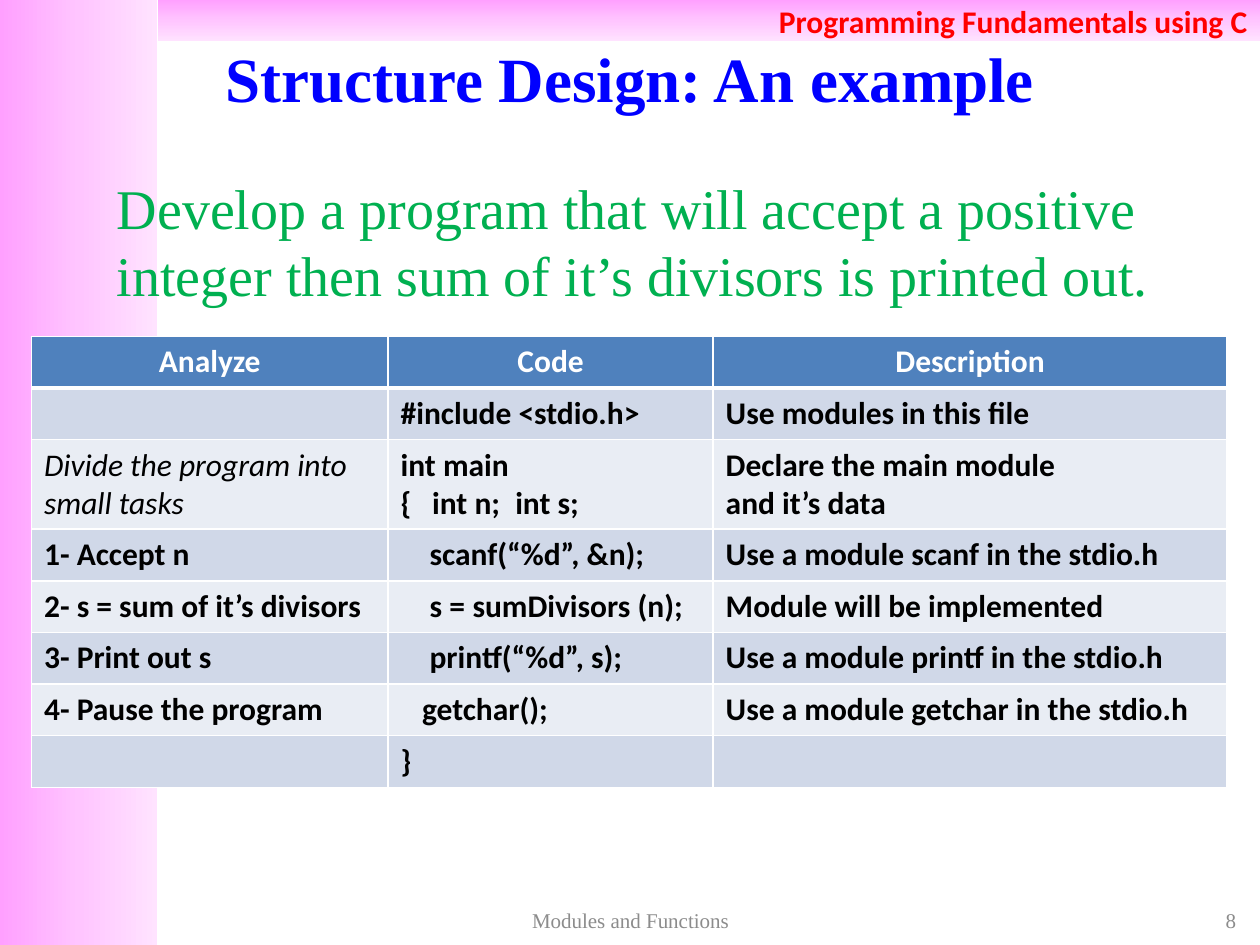
from dataclasses import dataclass

from lxml import etree
from pptx import Presentation
from pptx.dml.color import RGBColor
from pptx.enum import shapes, text
from pptx.oxml import ns
from pptx.util import Inches, Pt

COLORS = {
    "white": "FFFFFF", "black": "000000", "red": "FF0000", "blue": "0000FF",
    "green": "00B050", "gray": "8C8C8C", "header": "4F81BD",
    "odd_row": "D0D8E8", "even_row": "E9EDF4",
}
BAND_STOPS = ((0, "FFA0FF"), (50, "FFC5FF"), (100, "FFE3FF"))
SERIF, SANS = "Times New Roman", "Calibri"
LEFT, CENTER, RIGHT = text.PP_ALIGN.LEFT, text.PP_ALIGN.CENTER, text.PP_ALIGN.RIGHT
TOP, MIDDLE = text.MSO_ANCHOR.TOP, text.MSO_ANCHOR.MIDDLE


@dataclass
class Style:
    size: float
    color: str
    font: str = SERIF
    bold: bool = False
    italic: bool = False
    align: text.PP_ALIGN = LEFT
    anchor: text.MSO_ANCHOR = MIDDLE


@dataclass
class Entry:
    """Table cell content, with its indent and tab stops in inches."""
    words: str
    indent: float = 0
    tabs: tuple = ()
    italic: bool = False


def add_element(parent, tag: str, **attributes):
    element = etree.SubElement(parent, ns.qn(tag))
    for name, value in attributes.items():
        element.set(name, str(value))
    return element


def write(frame, words: str, style: Style) -> None:
    frame.word_wrap = True
    frame.vertical_anchor = style.anchor
    for index, line in enumerate(words.split("\n")):
        para = frame.paragraphs[0] if index == 0 else frame.add_paragraph()
        para.alignment = style.align
        span = para.add_run()
        span.text = line
        formats = {"name": style.font, "size": Pt(style.size),
                   "bold": style.bold, "italic": style.italic}
        for name, value in formats.items():
            setattr(span.font, name, value)
        span.font.color.rgb = RGBColor.from_string(COLORS[style.color])


def add_band(page, place: tuple, angle: int):
    band = page.shapes.add_shape(shapes.MSO_SHAPE.RECTANGLE, *map(Inches, place))
    band.shadow.inherit = False
    band.line.fill.background()
    band.fill.gradient()
    band.fill.gradient_angle = -angle % 360
    stops = band.element.spPr.find(ns.qn("a:gradFill")).find(ns.qn("a:gsLst"))
    for stop in list(stops):
        stops.remove(stop)
    for position, color in BAND_STOPS:
        stop = add_element(stops, "a:gs", pos=position * 1000)
        add_element(stop, "a:srgbClr", val=color)
    return band


def add_text(page, place: tuple, words: str, style: Style):
    box = page.shapes.add_textbox(*map(Inches, place))
    write(box.text_frame, words, style)
    return box


def set_borders(cell, widths: dict) -> None:
    properties = cell._tc.get_or_add_tcPr()
    for index, (side, width) in enumerate(widths.items()):
        line = add_element(properties, f"a:ln{side}", w=Pt(width))
        fill = add_element(line, "a:solidFill")
        add_element(fill, "a:srgbClr", val=COLORS["white"])
        properties.insert(index, line)


def set_tabs(para, stops: tuple) -> None:
    tabs = add_element(para._p.get_or_add_pPr(), "a:tabLst")
    for stop in stops:
        add_element(tabs, "a:tab", pos=Inches(stop), algn="l")


def add_program_table(page, place: tuple, widths: list, heights: list, rows: list) -> None:
    table = page.shapes.add_table(len(rows), len(widths), *map(Inches, place)).table
    for column, width in zip(table.columns, widths):
        column.width = Inches(width)
    for r, entries in enumerate(rows):
        table.rows[r].height = Inches(heights[r])
        fill = "header" if r == 0 else "odd_row" if r % 2 else "even_row"
        for c, entry in enumerate(entries):
            cell = table.cell(r, c)
            cell.fill.solid()
            cell.fill.fore_color.rgb = RGBColor.from_string(COLORS[fill])
            set_borders(cell, {"L": 1, "R": 1, "T": 3 if r == 1 else 1,
                               "B": 3 if r == 0 else 1})
            if not entry.words:
                continue
            style = Style(18, "black" if r else "white", SANS, not entry.italic,
                          entry.italic, LEFT if r else CENTER, TOP)
            write(cell.text_frame, entry.words, style)
            cell.margin_left = Inches(0.1 + entry.indent)
            if entry.tabs:
                set_tabs(cell.text_frame.paragraphs[-1], entry.tabs)


ROWS = [
    [Entry("Analyze"), Entry("Code"), Entry("Description")],
    [Entry(""), Entry("#include <stdio.h>"), Entry("Use modules in this file")],
    [Entry("Divide the program into small tasks", italic=True),
     Entry("int main\n{\tint n;\tint s;", tabs=(0.25, 0.91)),
     Entry("Declare the main module\nand it’s data")],
    [Entry("1- Accept n"), Entry("scanf(“%d”, &n);", 0.23),
     Entry("Use a module scanf in the stdio.h")],
    [Entry("2- s = sum of it’s divisors"),
     Entry("s =\tsumDivisors (n);", 0.23, (0.34,)),
     Entry("Module will be implemented")],
    [Entry("3- Print out s"), Entry("printf(“%d”, s);", 0.23),
     Entry("Use a module printf in the stdio.h")],
    [Entry("4- Pause the program"), Entry("getchar();", 0.17),
     Entry("Use a module getchar in the stdio.h")],
    [Entry(""), Entry("}"), Entry("")],
]


def main() -> None:
    deck = Presentation()
    deck.slide_width, deck.slide_height = Inches(10), Inches(7.5)
    page = deck.slides.add_slide(deck.slide_layouts[5])

    # Title, moved in front of the bands
    title = page.shapes.title
    title.left, title.top, title.width, title.height = map(Inches, (0, 0.3, 10, 0.62))
    write(title.text_frame, "Structure Design: An example",
          Style(36, "blue", bold=True, align=CENTER))

    # Side and top bands
    add_band(page, (0, 0, 1.25, 7.5), 0)
    top_band = add_band(page, (1.25, 0, 8.75, 0.33), 90)
    write(top_band.text_frame, "Programming Fundamentals using C",
          Style(18, "red", SANS, True, align=RIGHT))
    page.shapes._spTree.append(title.element)

    # Task
    task = add_text(page, (0.83, 1.33, 8.67, 1.08),
                    "Develop a program that will accept a positive integer "
                    "then sum of it’s divisors is printed out.",
                    Style(32, "green", anchor=TOP))
    task.text_frame.paragraphs[0].space_before = Pt(6.4)

    # Program table
    add_program_table(page, (0.25, 2.67, 9.5, 3.58), [2.83, 2.58, 4.08],
                      [0.71 if r == 2 else 0.41 for r in range(len(ROWS))], ROWS)

    # Page number and footer
    add_text(page, (7.58, 7.17, 2.33, 0.27), "8", Style(12, "gray", align=RIGHT))
    add_text(page, (3.42, 7.17, 3.17, 0.27), "Modules and Functions",
             Style(12, "gray", align=CENTER))

    deck.save("out.pptx")


if __name__ == "__main__":
    main()
